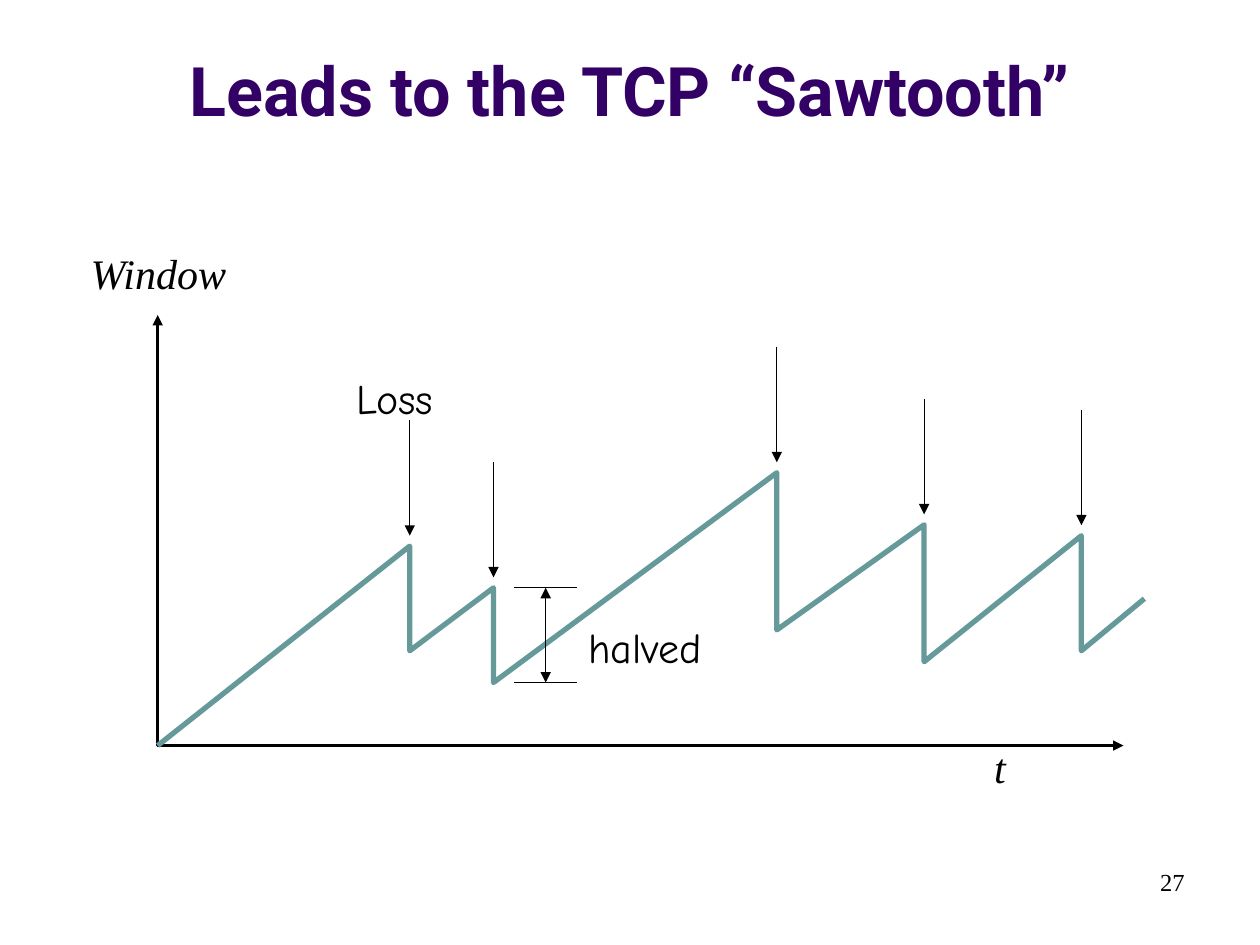
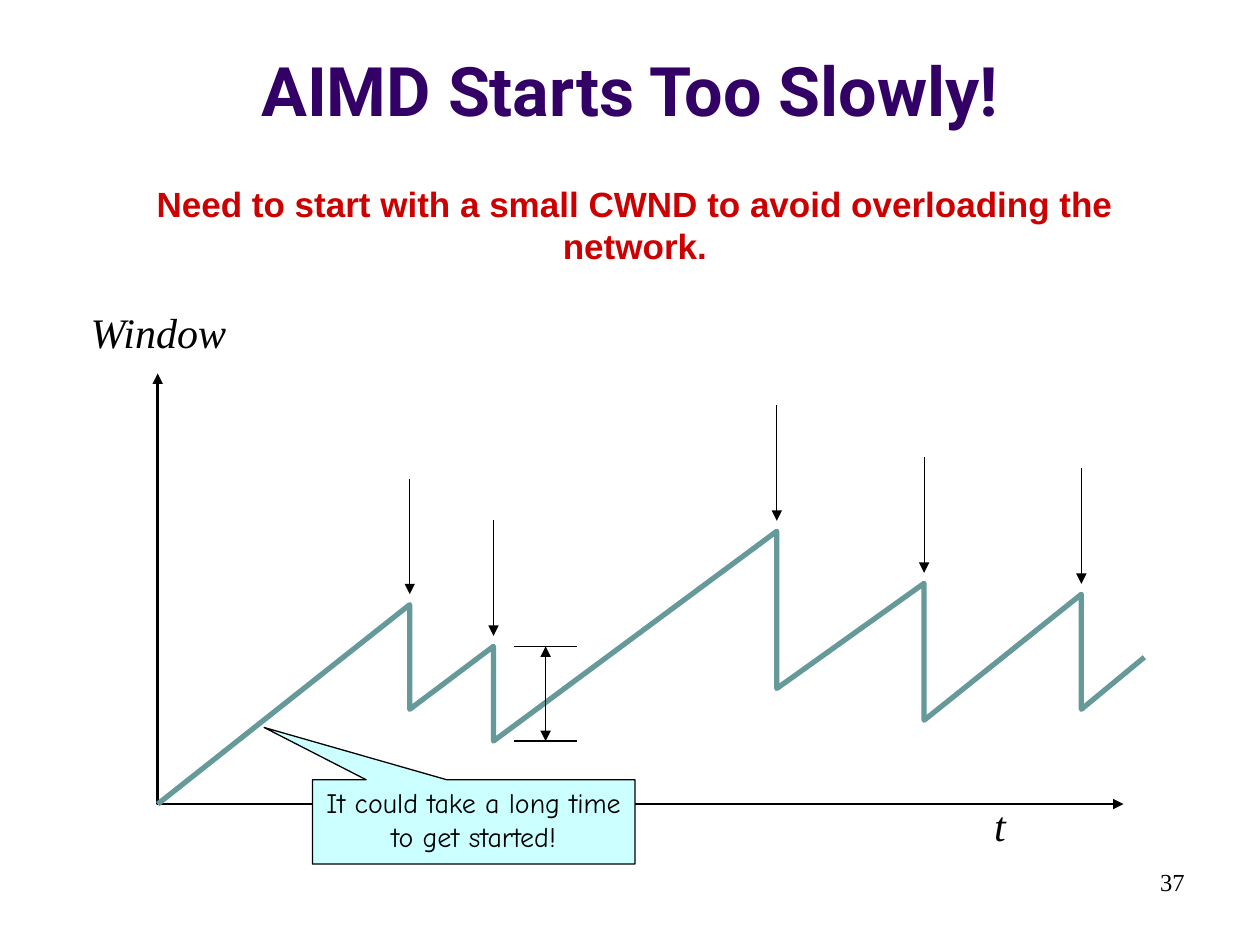
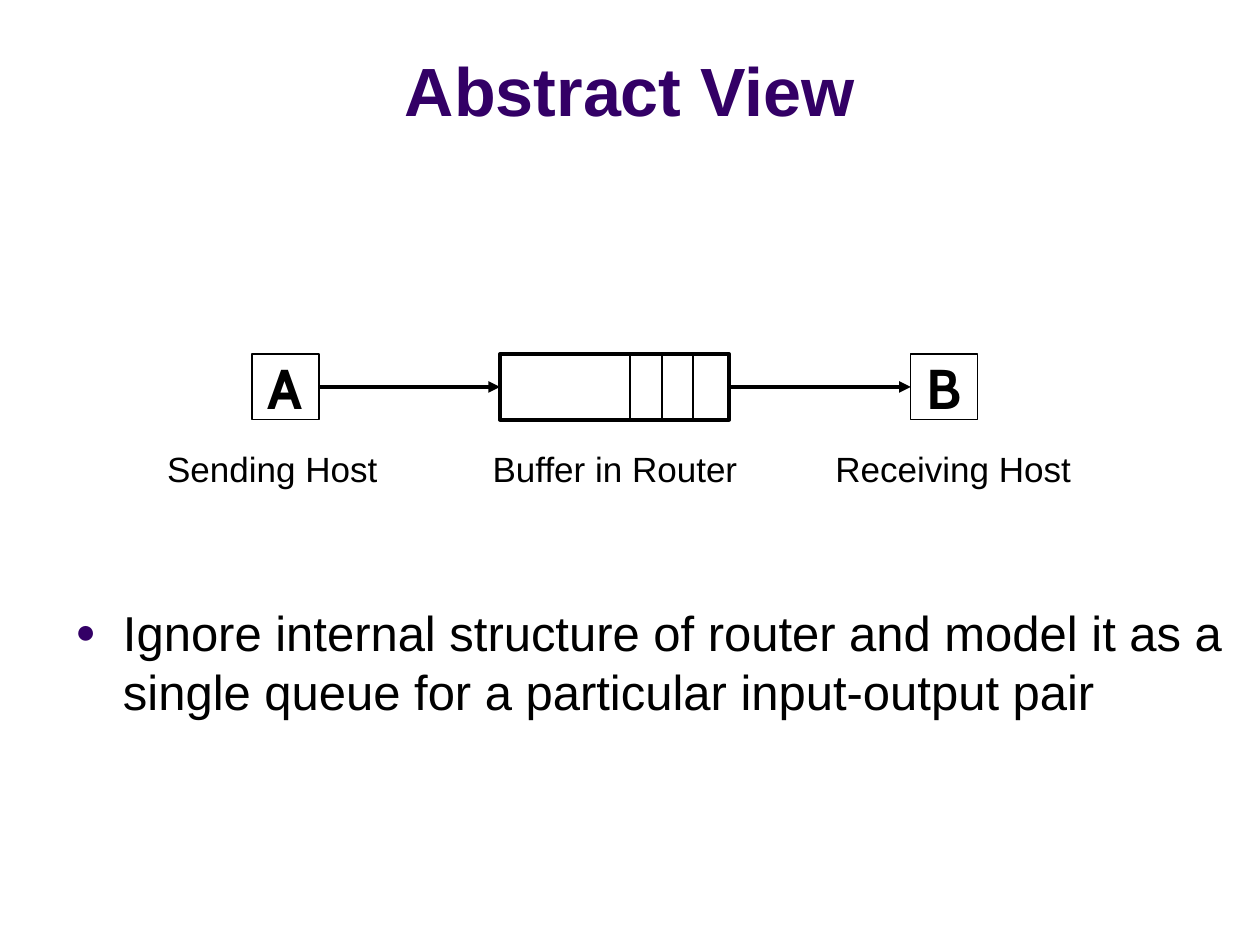
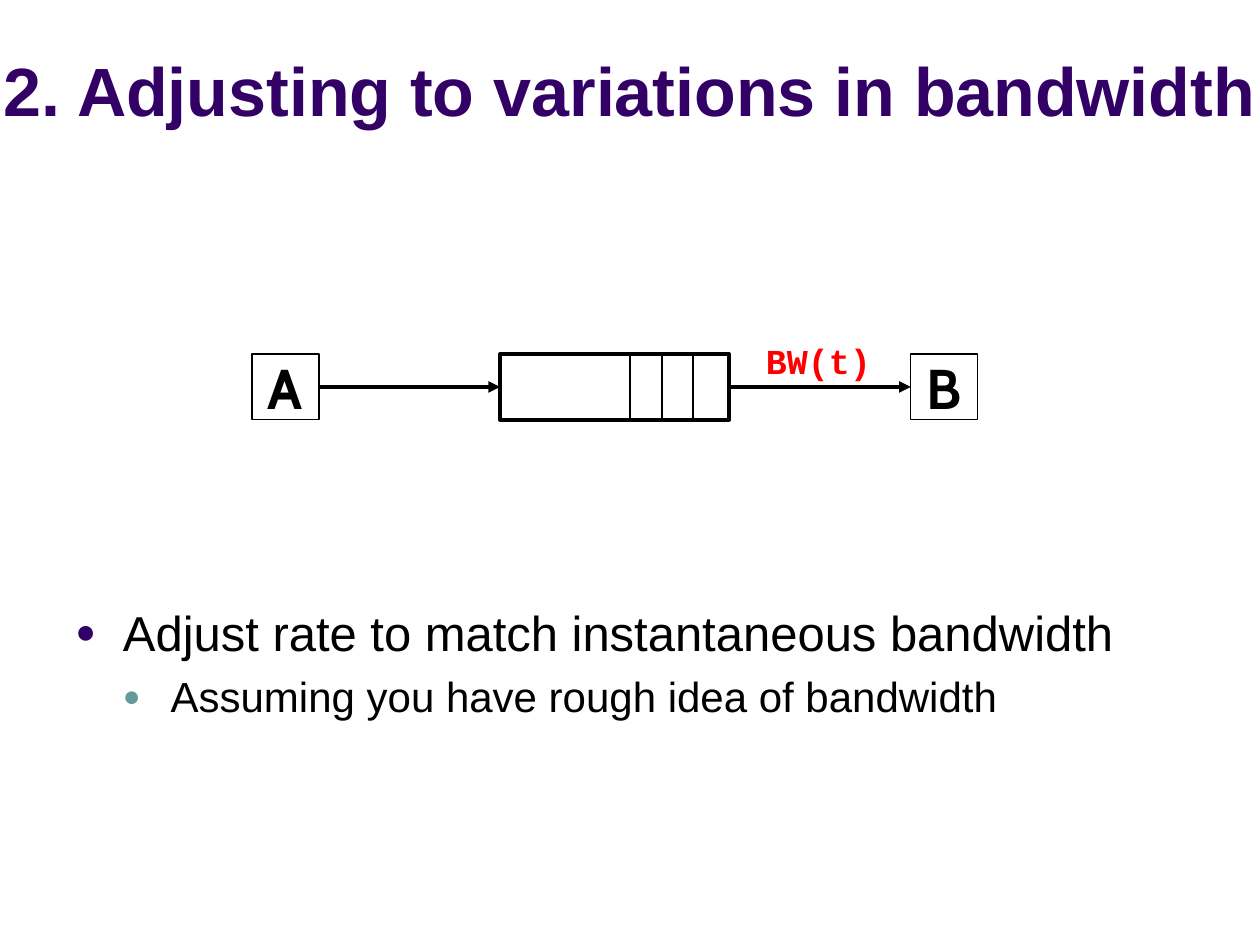
"""Build four slides on TCP windows and the router queue model."""
from dataclasses import dataclass
from lxml.etree import SubElement
from pptx import Presentation
from pptx.dml.color import RGBColor
from pptx.enum.shapes import MSO_CONNECTOR, MSO_SHAPE
from pptx.enum.text import MSO_ANCHOR, MSO_AUTO_SIZE, PP_ALIGN
from pptx.oxml.ns import qn
from pptx.util import Cm, Pt


@dataclass(frozen=True)
class Theme:
    black: str = "000000"
    white: str = "FFFFFF"
    plum: str = "330066"
    teal: str = "669999"
    pale: str = "CCFFFF"
    brick: str = "CC0000"
    red: str = "FF0000"
    sans: str = "Arial"
    serif: str = "Times New Roman"
    hand: str = "Comic Neue"
    head: str = "Roboto"
    host: str = "Cabin"
    mono: str = "Courier New"
    title: int = 39
    node: int = 32
    body: int = 28
    axis: int = 24
    label: int = 20
    note: int = 16
    page: int = 14


look = Theme()


def write(shape, text, face, size, tint=look.black, bold=False, slant=False,
          align=PP_ALIGN.LEFT, wrap=True):
    frame = shape.text_frame
    frame.text = text
    frame.word_wrap = wrap
    if not wrap:
        frame.auto_size = MSO_AUTO_SIZE.SHAPE_TO_FIT_TEXT
    for para in frame.paragraphs:
        para.alignment = align
        for run in para.runs:
            font = run.font
            font.name, font.size = face, Pt(size)
            font.bold, font.italic = bold, slant
            font.color.rgb = RGBColor.from_string(tint)
    return frame


def trace(shapes, points, width, tint=look.black, ends=()):
    first, *rest = [(Cm(x), Cm(y)) for x, y in points]
    if len(rest) == 1:
        shape = shapes.add_connector(MSO_CONNECTOR.STRAIGHT, *first, *rest[0])
    else:
        pen = shapes.build_freeform(*first)
        pen.add_line_segments(rest, close=False)
        shape = pen.convert_to_shape()
        shape.fill.background()
    shape.line.color.rgb = RGBColor.from_string(tint)
    shape.line.width = Pt(width)
    prop = shape.element.spPr
    for end in ends:
        SubElement(prop.find(qn("a:ln")), qn(f"a:{end}"), type="triangle")
    SubElement(prop, qn("a:effectLst"))


deck = Presentation()
deck.slide_width, deck.slide_height = Cm(25.4), Cm(19.05)
blank = deck.slide_layouts[6]

heads = [
    ("Leads to the TCP “Sawtooth”", look.head, 0),
    ("AIMD Starts Too Slowly!", look.head, 0),
    ("Abstract View", look.sans, 0),
    ("2. Adjusting to variations in bandwidth", look.sans, 0.2),
]
for text, face, bleed in heads:
    slide = deck.slides.add_slide(blank)
    box = slide.shapes.add_textbox(Cm(-bleed), Cm(0.33), Cm(25.4 + 2 * bleed), Cm(2.41))
    frame = write(box, text, face, look.title, look.plum, bold=True, align=PP_ALIGN.CENTER)
    frame.vertical_anchor = MSO_ANCHOR.BOTTOM
saw, slow, view, adjust = deck.slides

left, base = 3.18, 15.03
teeth = [(8.26, 11.01, 13.12), (9.95, 11.85, 13.76), (15.66, 9.53, 12.7),
         (18.63, 10.58, 13.34), (21.8, 10.8, 13.12)]
both = ("headEnd", "tailEnd")
for slide, page, drop in [(saw, "27", 0), (slow, "37", 1.18)]:
    shapes = slide.shapes
    box = shapes.add_textbox(Cm(18.2), Cm(17.35), Cm(5.93), Cm(1.27))
    write(box, page, look.serif, look.page, align=PP_ALIGN.RIGHT)

    floor = base + drop
    trace(shapes, [(left, 6.35 + drop), (left, floor), (22.65, floor)], 1.5, ends=both)
    path = [(left, floor)]
    for x, peak, low in teeth:
        path += [(x, peak + drop), (x, low + drop)]
    trace(shapes, path + [(23.07, 12.07 + drop)], 3, look.teal)

    for text, x, y, width in [("t", 19.79, 14.82, 0.74), ("Window", 1.58, 4.87, 3.28)]:
        box = shapes.add_textbox(Cm(x), Cm(y + drop), Cm(width), Cm(1.27))
        write(box, text, look.serif, look.axis, slant=True, wrap=False)

    top, foot = [y + drop for y in teeth[1][1:]]
    for y in (foot, top):
        trace(shapes, [(10.37, y), (11.64, y)], 0.75)
    trace(shapes, [(11, top), (11, foot)], 0.75, ends=both)
    for x, peak, low in teeth:
        tip = peak + drop - 0.21
        trace(shapes, [(x, tip - 2.33), (x, tip)], 0.75, ends=both[1:])

for text, x, y, width in [("halved", 11.61, 12.4, 3.05), ("Loss", 6.93, 7.39, 2.26)]:
    box = saw.shapes.add_textbox(Cm(x), Cm(y), Cm(width), Cm(1.27))
    write(box, text, look.hand, look.axis, wrap=False)

call = slow.shapes.add_shape(MSO_SHAPE.RECTANGULAR_CALLOUT, Cm(6.3), Cm(15.72), Cm(6.5), Cm(1.7))
call.adjustments[0], call.adjustments[1] = -0.65, -1.12
call.shadow.inherit = False
call.fill.solid()
call.fill.fore_color.rgb = RGBColor.from_string(look.pale)
call.line.color.rgb = RGBColor.from_string(look.black)
call.line.width = Pt(0.75)
frame = write(call, "It could take a long time to get started!", look.hand, look.note,
              align=PP_ALIGN.CENTER)
frame.vertical_anchor = MSO_ANCHOR.TOP
box = slow.shapes.add_textbox(Cm(1.37), Cm(3.56), Cm(22.86), Cm(1.09))
write(box, "Need to start with a small CWND to avoid overloading the network.",
      look.sans, look.label, look.brick, bold=True, align=PP_ALIGN.CENTER)

points = [
    (view, ["Ignore internal structure of router and model it as a single queue "
            "for a particular input-output pair"]),
    (adjust, ["Adjust rate to match instantaneous bandwidth",
              "Assuming you have rough idea of bandwidth"]),
]
tiers = [(look.body, look.plum, 0), (look.axis, look.teal, 5.5)]
for slide, lines in points:
    shapes = slide.shapes
    box = shapes.add_textbox(Cm(1.27), Cm(12.02), Cm(23.7), Cm(5))
    frame = write(box, "\n".join(lines), look.sans, look.body)
    for level, para in enumerate(frame.paragraphs):
        size, tint, gap = tiers[level]
        para.level = level
        para.space_before = Pt(gap)
        para.runs[0].font.size = Pt(size)
        prop = para._p.get_or_add_pPr()
        prop.set("marL", str(Cm(0.96 * (level + 1))))
        prop.set("indent", str(Cm(-0.96)))
        SubElement(SubElement(prop, qn("a:buClr")), qn("a:srgbClr"), val=tint)
        SubElement(prop, qn("a:buSzPct"), val="70000")
        SubElement(prop, qn("a:buFont"), typeface=look.sans)
        SubElement(prop, qn("a:buChar"), char="●")

    parts = shapes.add_group_shape().shapes
    for text, x, width, edge in [("A", 5.08, 1.35, 0.75), ("", 10.08, 4.62, 2.25),
                                 ("B", 18.36, 1.35, 0.75)]:
        node = parts.add_shape(MSO_SHAPE.RECTANGLE, Cm(x), Cm(7.14), Cm(width), Cm(1.32))
        node.shadow.inherit = False
        node.fill.solid()
        node.fill.fore_color.rgb = RGBColor.from_string(look.white)
        node.line.color.rgb = RGBColor.from_string(look.black)
        node.line.width = Pt(edge)
        frame = write(node, text, look.host, look.node, bold=True, align=PP_ALIGN.CENTER)
        frame.margin_left = frame.margin_right = Cm(0.15)
        frame.margin_top = frame.margin_bottom = Cm(0.08)
        frame.vertical_anchor = MSO_ANCHOR.MIDDLE
    for start, stop in [(6.43, 10.08), (14.7, 18.36)]:
        trace(parts, [(start, 7.8), (stop, 7.8)], 2.25, ends=both[1:])
    for x in (13.97, 13.34, 12.7):
        trace(parts, [(x, 7.11), (x, 8.46)], 1)

for text, x, width in [("Sending Host", 3.12, 4.78), ("Buffer in Router", 9.68, 5.49),
                       ("Receiving Host", 16.59, 5.31)]:
    box = view.shapes.add_textbox(Cm(x), Cm(8.89), Cm(width), Cm(1.09))
    write(box, text, look.sans, look.label, wrap=False)
box = adjust.shapes.add_textbox(Cm(15.19), Cm(6.71), Cm(2.64), Cm(1.09))
write(box, "BW(t)", look.mono, look.label, look.red, bold=True, wrap=False)

deck.save("out.pptx")
